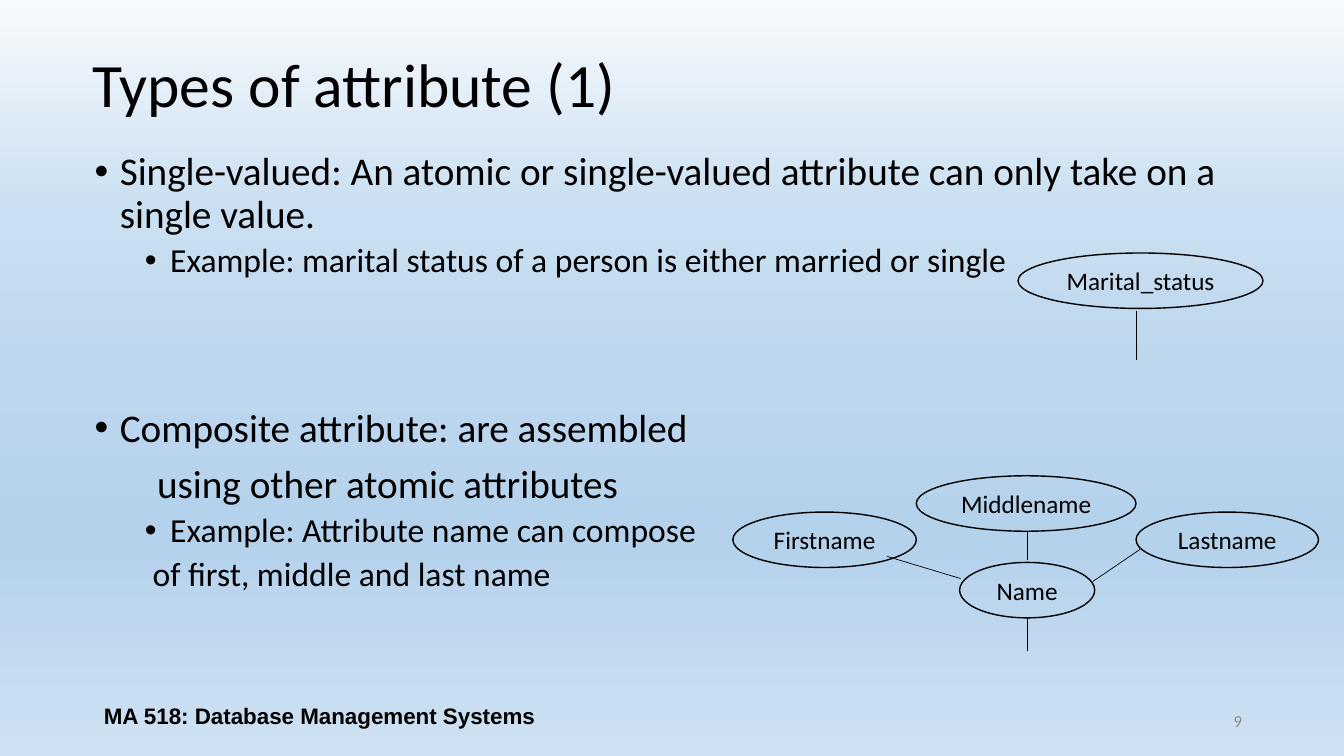
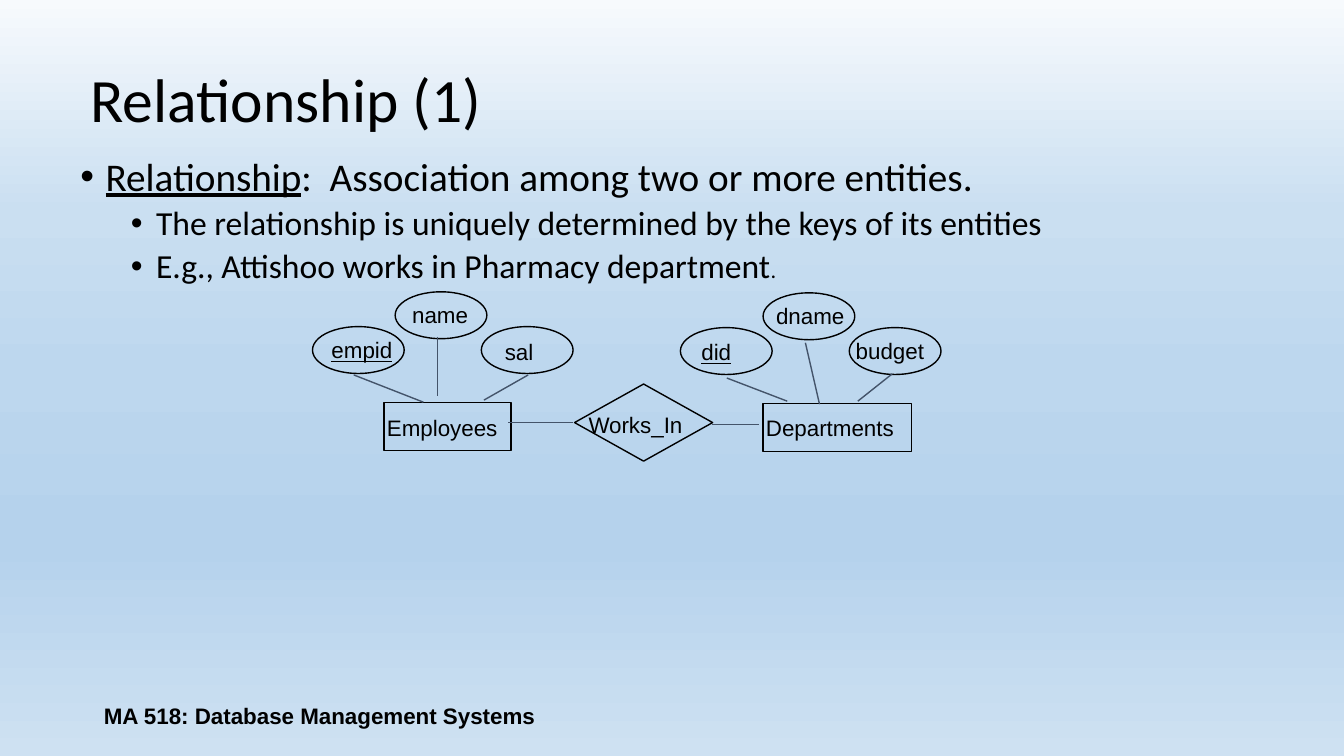
import pptx
import pptx.dml.color
import pptx.enum.shapes
import pptx.enum.text
import pptx.oxml
import pptx.oxml.ns
import pptx.util

RGB = pptx.dml.color.RGBColor
Kind = pptx.enum.shapes.MSO_SHAPE
Align = pptx.enum.text.PP_ALIGN
Anchor = pptx.enum.text.MSO_ANCHOR
qn = pptx.oxml.ns.qn

BLACK = RGB(0x00, 0x00, 0x00)
GREY = RGB(0x8C, 0x8C, 0x8C)
SLATE = RGB(0x44, 0x54, 0x6A)
SKY = (
    (0, RGB(0xF7, 0xFA, 0xFD)),
    (28, RGB(0xCA, 0xDF, 0xF1)),
    (49, RGB(0xBD, 0xD7, 0xEE)),
    (71, RGB(0xB5, 0xD2, 0xEC)),
    (72, RGB(0xB5, 0xD2, 0xEC)),
    (100, RGB(0xCE, 0xE1, 0xF2)),
)
COLS, ROWS = 133.33, 75
FOOTER = "MA 518: Database Management Systems"


def cell(count):
    """Length of a number of grid cells, ten to the inch."""
    return pptx.util.Inches(count / 10)


def write(para, text, size=18, font="Calibri", color=BLACK, bold=False, under=False):
    run = para.add_run()
    run.text = text
    face = run.font
    face.size = pptx.util.Pt(size)
    face.name = font
    face.color.rgb = color
    face.bold = bold
    face.underline = under


def indent(para, left, dot):
    """Set the left margin in cells, with a hanging bullet if dot is true."""
    props = para._p.get_or_add_pPr()
    props.set("marL", str(cell(left)))
    props.set("indent", str(cell(-2.5) if dot else 0))
    if dot:
        font = pptx.oxml.ns.nsdecls("a")
        props.append(pptx.oxml.parse_xml(f'<a:buFont {font} typeface="Arial"/>'))
        props.append(pptx.oxml.parse_xml(f'<a:buChar {font} char="•"/>'))


class Deck:
    """Holds the shared style and the current slide."""

    def __init__(self):
        self.prs = pptx.Presentation()
        self.prs.slide_width = cell(COLS)
        self.prs.slide_height = cell(ROWS)
        self.shapes = None
        self.paint()

    def paint(self):
        """Give every slide the sky gradient through the master."""
        master = self.prs.slide_master
        master.background.fill.gradient()
        stops = master.element.find(".//" + qn("a:gsLst"))
        for stop in list(stops):
            stops.remove(stop)
        space = pptx.oxml.ns.nsdecls("a")
        for share, color in SKY:
            stops.append(pptx.oxml.parse_xml(
                f'<a:gs {space} pos="{share * 1000}"><a:srgbClr val="{color}"/></a:gs>'))
        master.element.find(".//" + qn("a:lin")).set("ang", "5400000")

    def page(self, title, left, top):
        self.shapes = self.prs.slides.add_slide(self.prs.slide_layouts[6]).shapes
        para = self.text((left, top, 115, 14.5), title, size=44, mid=True, wrap=True)
        para.line_spacing = 0.9
        self.text((9.2, 69, 45, 4), FOOTER, align=Align.CENTER, mid=True,
                  size=16, font="Arial", bold=True)

    def frame(self, box, mid=False, wrap=False):
        frame = self.shapes.add_textbox(*map(cell, box)).text_frame
        frame.word_wrap = wrap
        frame.vertical_anchor = Anchor.MIDDLE if mid else Anchor.TOP
        return frame

    def text(self, box, words, align=Align.LEFT, mid=False, wrap=False, **style):
        para = self.frame(box, mid, wrap).paragraphs[0]
        para.alignment = align
        write(para, words, **style)
        return para

    def body(self, box, items):
        """Write items of (level, left, dot, space before, runs)."""
        frame = self.frame(box, wrap=True)
        for i, (level, left, dot, gap, runs) in enumerate(items):
            para = frame.add_paragraph() if i else frame.paragraphs[0]
            para.level = level
            para.line_spacing = 0.9
            para.space_before = pptx.util.Pt(gap)
            indent(para, left, dot)
            for words, style in runs:
                write(para, words, **{"size": 24 if level else 28, **style})

    def node(self, kind, box, words=""):
        shape = self.shapes.add_shape(kind, *map(cell, box))
        shape.shadow.inherit = False
        shape.fill.background()
        shape.line.color.rgb = BLACK
        shape.line.width = pptx.util.Pt(1)
        if words:
            frame = shape.text_frame
            frame.word_wrap = False
            frame.vertical_anchor = Anchor.MIDDLE
            frame.paragraphs[0].alignment = Align.CENTER
            write(frame.paragraphs[0], words)

    def line(self, ends, color=BLACK, width=0.5):
        link = self.shapes.add_connector(
            pptx.enum.shapes.MSO_CONNECTOR.STRAIGHT, *map(cell, ends))
        link.line.color.rgb = color
        link.line.width = pptx.util.Pt(width)
        link._element.spPr.append(pptx.oxml.parse_xml(
            f'<a:effectLst {pptx.oxml.ns.nsdecls("a")}/>'))


def plain(words):
    return [(words, {})]


def types(deck):
    deck.page("Types of attribute (1)", 8.2, 1.4)
    deck.body((8.4, 14.6, 115, 47.6), [
        (0, 2.5, True, 10, plain("Single-valued: An atomic or single-valued attribute "
                                 "can only take on a single value.")),
        (1, 7.5, True, 5, plain("Example: marital status of a person is either "
                                "married or single")),
        (0, 2.5, True, 91.5, plain("Composite attribute: are assembled")),
        (0, 6.2, False, 10, plain("using other atomic attributes")),
        (1, 7.5, True, 5, plain("Example: Attribute name can compose")),
        (1, 5.75, False, 5, plain("of first, middle and last name")),
    ])
    deck.text((94.2, 69.5, 30, 4), "9", align=Align.RIGHT, mid=True, wrap=True,
              size=12, color=GREY)
    for left, top, width, words in (
        (95.2, 55.8, 13.4, "Name"),
        (72.7, 50.8, 18.2, "Firstname"),
        (90.9, 47.2, 21.8, "Middlename"),
        (112.7, 50.8, 18.1, "Lastname"),
        (101, 25.1, 24.3, "Marital_status"),
    ):
        deck.node(Kind.OVAL, (left, top, width, 5.5), words)
    for ends in (
        (95.3, 57.4, 88, 55.2),
        (101.9, 55.6, 101.9, 52.8),
        (108.4, 57.7, 113.1, 54.5),
        (101.9, 61.3, 101.9, 64.6),
        (112.7, 35.7, 112.7, 30.9),
    ):
        deck.line(ends)


def relation(deck):
    deck.page("Relationship (1)", 8, 2.9)
    deck.body((7, 15.1, 115, 54.4), [
        (0, 2.5, True, 10, [("Relationship", {"under": True}),
                            (":  Association among two or more entities.", {})]),
        (1, 7.5, True, 5, plain("The relationship is uniquely determined by the "
                                "keys of its entities")),
        (1, 7.5, True, 5, [("E.g., Attishoo works in Pharmacy department", {}),
                           (".", {"size": 16})]),
    ])
    for left, top in ((31, 32.4), (67.5, 32.5)):
        for right, rise in ((0, 0), (8.2, 3.45), (16.75, 0)):
            deck.node(Kind.OVAL, (left + right, top - rise, 9.1, 4.65))
    deck.node(Kind.DIAMOND, (57, 38.1, 13.7, 7.65))
    deck.node(Kind.RECTANGLE, (38.1, 39.9, 12.6, 4.8))
    deck.node(Kind.RECTANGLE, (75.7, 40, 14.75, 4.8))
    for left, top, width, words, key in (
        (31.9, 32.9, 8.1, "empid", True),
        (39.9, 29.4, 7.8, "name", False),
        (49.1, 33.1, 4.9, "sal", False),
        (68.6, 33.1, 5, "did", True),
        (76, 29.5, 9.1, "dname", False),
        (83.9, 33, 8.9, "budget", False),
        (37.4, 40.6, 13.1, "Employees", False),
        (57.4, 40.3, 11.4, "Works_In", False),
        (75, 40.6, 14.8, "Departments", False),
    ):
        deck.text((left, top, width, 3.7), words, size=16, font="Arial", under=key)
    for ends in (
        (43.4, 33.4, 43.4, 39.3),
        (35.1, 37.2, 42, 39.9),
        (52.4, 37.2, 48, 39.7),
        (56.8, 41.9, 50.4, 41.9),
        (70.6, 42.1, 75.3, 42.1),
        (72.1, 37.5, 78.1, 39.8),
        (79.9, 34, 81.3, 40.1),
        (88.5, 37.1, 85.1, 39.8),
    ):
        deck.line(ends, SLATE, 1)


def main():
    deck = Deck()
    types(deck)
    relation(deck)
    deck.prs.save("out.pptx")


if __name__ == "__main__":
    main()
